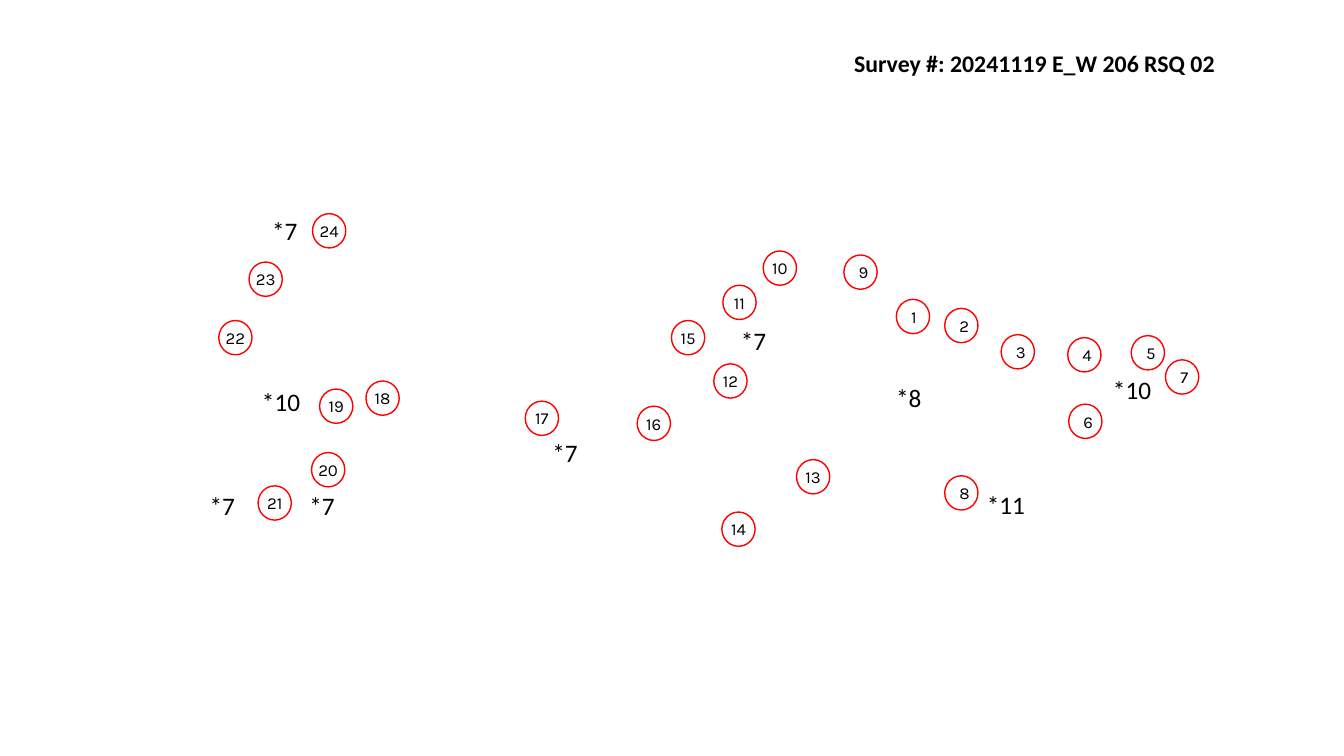
from pptx import Presentation
from pptx.dml.color import RGBColor
from pptx.enum.shapes import MSO_SHAPE
from pptx.enum.text import MSO_ANCHOR, MSO_AUTO_SIZE, PP_ALIGN
from pptx.util import Pt

OVAL = MSO_SHAPE.OVAL
TOP, MIDDLE = MSO_ANCHOR.TOP, MSO_ANCHOR.MIDDLE
LEFT, CENTER = PP_ALIGN.LEFT, PP_ALIGN.CENTER
GROW = MSO_AUTO_SIZE.SHAPE_TO_FIT_TEXT

BLACK = RGBColor(0x00, 0x00, 0x00)
RED = RGBColor(0xFF, 0x00, 0x00)

TITLE_ONLY = 5
PX = 9144  # 100 px to the inch

TITLE_BOX = (837, 43, 379, 39)
MAP_BOX = (190, 200, 1000, 350)
POINT_SIZE = (33, 34)
NOTE_HEIGHT = 40
NOTE_WIDTHS = {2: 46, 3: 58}  # by number of characters

# Survey points 1 to 24, as offsets within the map
POINTS = [
    (699, 97), (747, 106), (803, 132), (869, 135), (932, 133), (870, 201),
    (966, 157), (747, 272), (647, 53), (567, 49), (527, 83), (518, 161),
    (600, 256), (526, 308), (476, 118), (442, 203), (331, 198), (173, 178),
    (127, 186), (119, 249), (66, 282), (27, 118), (57, 60), (120, 12),
]
NOTES = [
    ("*7", 107, 282), ("*10", 60, 178), ("*7", 70, 9),
    ("*7", 348, 229), ("*11", 779, 281), ("*10", 904, 166),
    ("*7", 8, 282), ("*8", 689, 174), ("*7", 535, 118),
]


def px(*lengths):
    return [length * PX for length in lengths]


def write(shape, text, font, size, align, anchor, bold=False):
    frame = shape.text_frame
    frame.text = text
    frame.vertical_anchor = anchor
    para = frame.paragraphs[0]
    para.alignment = align
    para.font.name = font
    para.font.size = Pt(size)
    para.font.bold = bold
    para.font.color.rgb = BLACK
    return frame


def grow_on_one_line(frame):
    frame.word_wrap = False
    frame.auto_size = GROW


def add_title(page, box):
    title = page.shapes.title
    title.left, title.top, title.width, title.height = px(*box)
    frame = write(title, "Survey #: 20241119 E_W 206 RSQ 02",
                  "Calibri", 17, LEFT, TOP, bold=True)
    grow_on_one_line(frame)


def add_point(page, number, left, top):
    circle = page.shapes.add_shape(OVAL, *px(left, top, *POINT_SIZE))
    circle.shadow.inherit = False
    circle.fill.background()
    circle.line.color.rgb = RED
    circle.line.width = Pt(1)
    frame = write(circle, str(number), "Karla", 12, CENTER, MIDDLE)
    if number >= 10:
        frame.margin_left = frame.margin_right = 0


def add_note(page, text, left, top):
    width = NOTE_WIDTHS[len(text)]
    note = page.shapes.add_textbox(*px(left, top, width, NOTE_HEIGHT))
    grow_on_one_line(write(note, text, "Calibri", 18, LEFT, TOP))


def add_survey_map(page, box):
    left, top = box[:2]
    for number, (x, y) in enumerate(POINTS, start=1):
        add_point(page, number, left + x, top + y)
    for text, x, y in NOTES:
        add_note(page, text, left + x, top + y)


def main():
    deck = Presentation()
    deck.slide_width, deck.slide_height = px(1333, 750)
    page = deck.slides.add_slide(deck.slide_layouts[TITLE_ONLY])
    add_title(page, TITLE_BOX)
    add_survey_map(page, MAP_BOX)
    deck.save("out.pptx")


if __name__ == "__main__":
    main()
